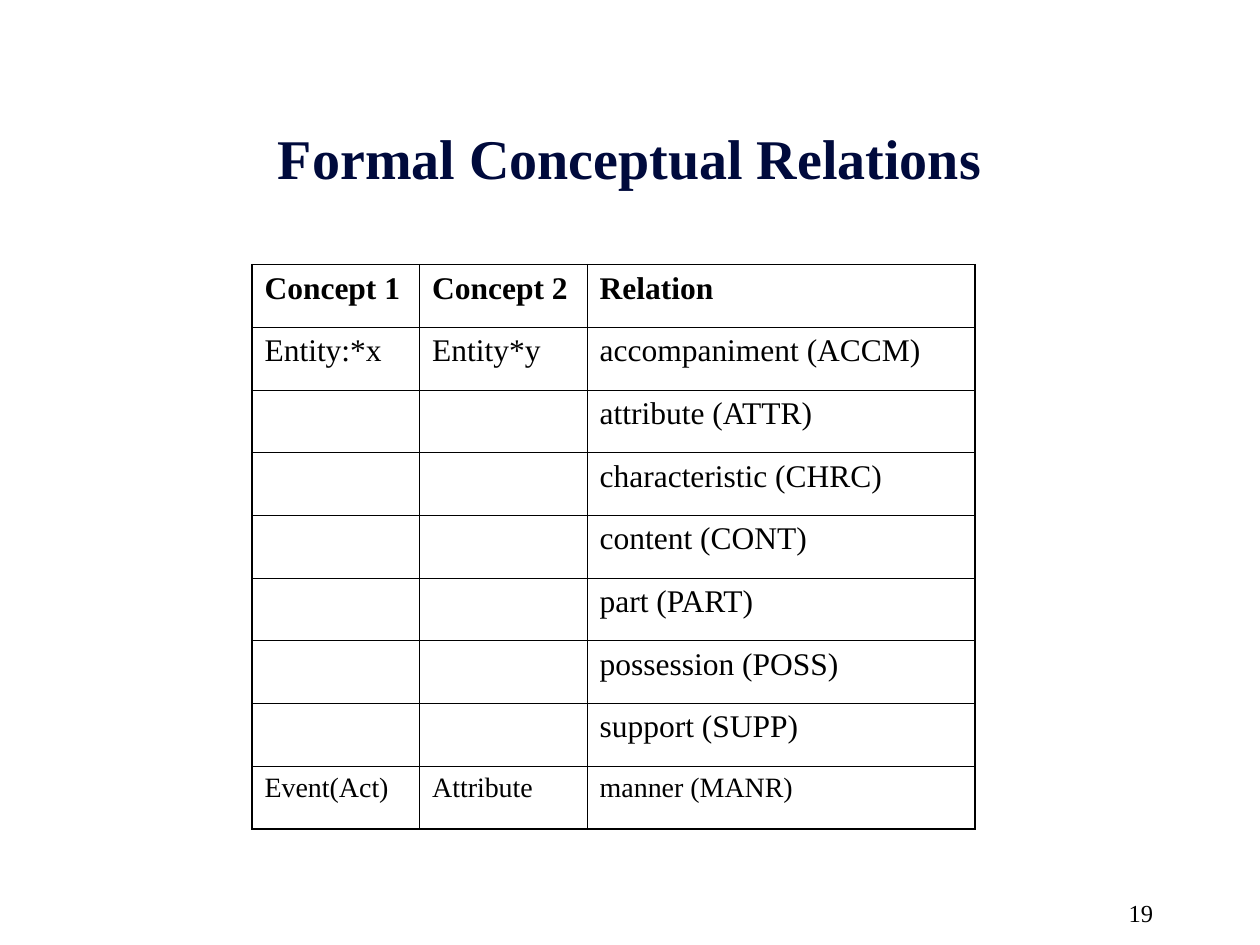
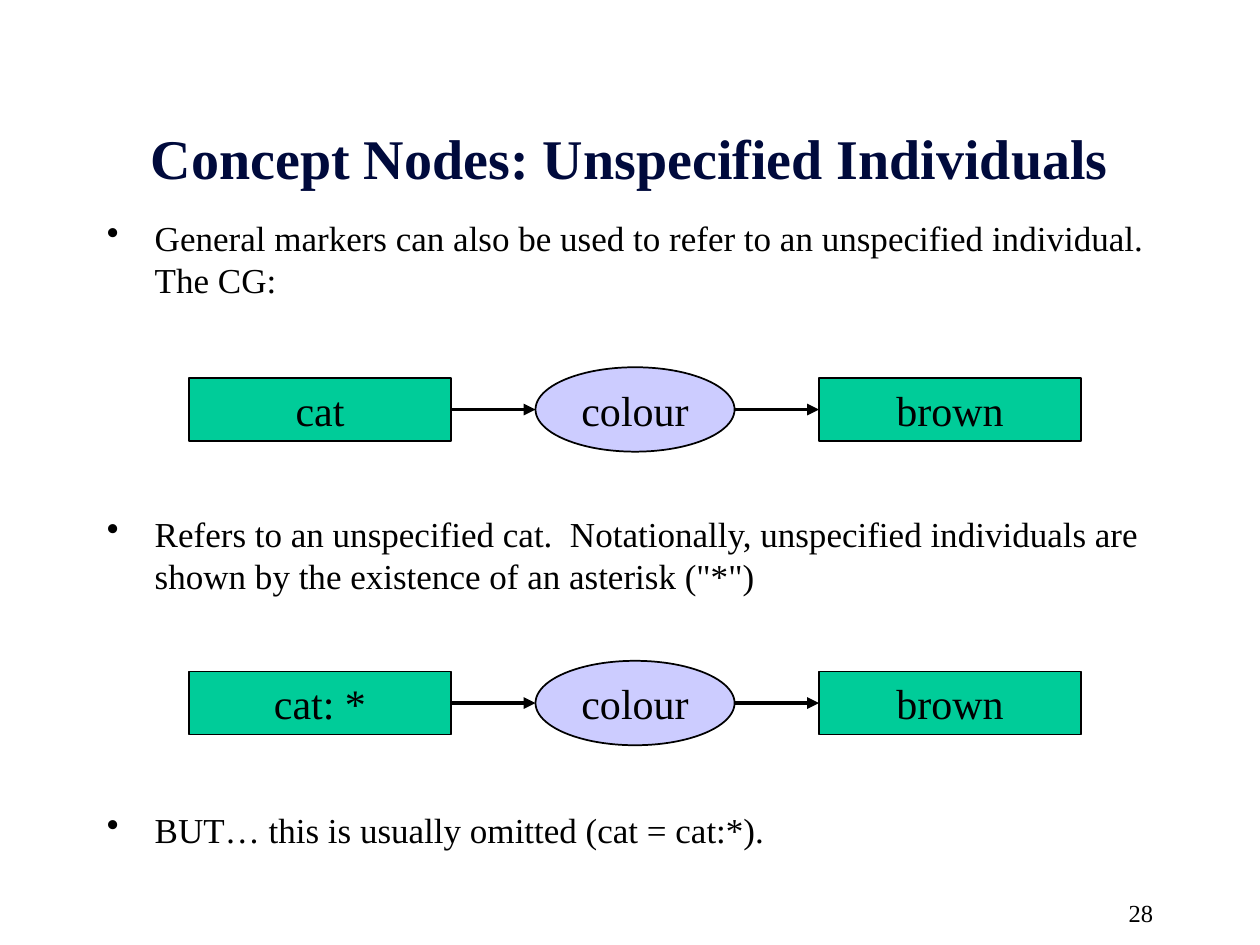
import pptx
import pptx.util
import pptx.dml.color
import pptx.enum.shapes
import pptx.enum.text
import pptx.oxml.ns
from lxml import etree

Inches, Pt = pptx.util.Inches, pptx.util.Pt
ALIGN, ANCHOR = pptx.enum.text.PP_ALIGN, pptx.enum.text.MSO_ANCHOR
SHAPE = pptx.enum.shapes.MSO_SHAPE
qn = pptx.oxml.ns.qn

# Content
RELATIONS = {
    "title": "Formal Conceptual Relations",
    "number": "19",
    "rows": [
        ("Concept 1", "Concept 2", "Relation"),
        ("Entity:*x", "Entity*y", "accompaniment (ACCM)"),
        ("", "", "attribute (ATTR)"),
        ("", "", "characteristic (CHRC)"),
        ("", "", "content (CONT)"),
        ("", "", "part (PART)"),
        ("", "", "possession (POSS)"),
        ("", "", "support (SUPP)"),
        ("Event(Act)", "Attribute", "manner (MANR)"),
    ],
}
INDIVIDUALS = {
    "title": "Concept Nodes: Unspecified Individuals",
    "number": "28",
    "points": [
        "General markers can also be used to refer to an unspecified individual.  The CG:",
        "Refers to an unspecified cat.  Notationally, unspecified individuals are "
        "shown by the existence of an asterisk (\"*\")",
        "BUT… this is usually omitted (cat = cat:*).",
    ],
    # centre height of each graph, and its nodes
    "graphs": [(3.25, ("cat", "colour", "brown")),
               (5.58, ("cat: *", "colour", "brown"))],
}

# Shared look
COLORS = {"ink": "000000", "title": "000A3C", "concept": "00CC99", "relation": "CCCCFF"}
FONT = "Times New Roman"
FORMATS = {
    "title": {"size": Pt(32), "bold": True},
    "number": {"size": Pt(14)},
    "point": {"size": Pt(20)},
    "node": {"size": Pt(24)},
    "header": {"size": Pt(18), "bold": True},
    "cell": {"size": Pt(18), "bold": False},
    "last": {"size": Pt(16), "bold": False},
}
OUTER, INNER = 1.08, 0.45
COLUMNS = (1.33, 1.33, 3.08)
# left, width, height, outline and colour of the nodes in a graph
NODES = [(1.5, 2.08, 0.5, SHAPE.RECTANGLE, "concept"),
         (4.25, 1.58, 0.67, SHAPE.OVAL, "relation"),
         (6.5, 2.08, 0.5, SHAPE.RECTANGLE, "concept")]


def color(name):
    return pptx.dml.color.RGBColor.from_string(COLORS[name])


def write(paragraph, text, style, ink="ink", align=ALIGN.LEFT):
    paragraph.alignment = align
    font = paragraph.add_run().font if text else paragraph.font
    if text:
        paragraph.runs[0].text = text
    for name, value in {"name": FONT, **FORMATS[style]}.items():
        setattr(font, name, value)
    font.color.rgb = color(ink)


def add_frame(slide, box, anchor=ANCHOR.TOP):
    frame = slide.shapes.add_textbox(*map(Inches, box)).text_frame
    frame.word_wrap = True
    frame.vertical_anchor = anchor
    return frame


def add_slide(deck, content):
    slide = deck.slides.add_slide(deck.slide_layouts[6])
    number = add_frame(slide, (7.17, 7.08, 2.08, 0.25))
    write(number.paragraphs[0], content["number"], "number", align=ALIGN.RIGHT)
    title = add_frame(slide, (0.75, 0.83, 8.5, 0.83), ANCHOR.MIDDLE)
    write(title.paragraphs[0], content["title"], "title", "title", ALIGN.CENTER)
    return slide


def set_borders(cell, widths):
    properties = cell._tc.get_or_add_tcPr()
    for position, (side, width) in enumerate(widths.items()):
        line = etree.Element(qn(f"a:ln{side}"), w=str(Pt(width)))
        fill = etree.SubElement(line, qn("a:solidFill"))
        etree.SubElement(fill, qn("a:srgbClr"), val=COLORS["ink"])
        properties.insert(position, line)


def add_relations(slide, rows):
    last_row, last_column = len(rows) - 1, len(COLUMNS) - 1
    table = slide.shapes.add_table(
        len(rows), len(COLUMNS), Inches(2), Inches(2.1),
        Inches(sum(COLUMNS)), Inches(4.48)).table
    table.first_row = table.horz_banding = False
    for column, width in zip(table.columns, COLUMNS):
        column.width = Inches(width)
    for r, row in enumerate(rows):
        style = {0: "header", last_row: "last"}.get(r, "cell")
        for c, text in enumerate(row):
            cell = table.cell(r, c)
            cell.fill.background()
            paragraph = cell.text_frame.paragraphs[0]
            write(paragraph, text, style)
            paragraph.space_before = FORMATS[style]["size"] // 4
            edges = {"L": c == 0, "R": c == last_column, "T": r == 0, "B": r == last_row}
            set_borders(cell, {side: OUTER if edge else INNER
                               for side, edge in edges.items()})


def add_points(slide, points):
    frame = add_frame(slide, (0.75, 1.67, 8.5, 5.33))
    for i, text in enumerate(points):
        paragraph = frame.add_paragraph() if i else frame.paragraphs[0]
        write(paragraph, text, "point")
        paragraph.line_spacing = Pt(24)
        # later points leave room for the graph above them
        paragraph.space_before = Pt(121 if i else 5)
        properties = paragraph._p.get_or_add_pPr()
        properties.set("marL", str(Inches(0.38)))
        properties.set("indent", str(-Inches(0.38)))
        etree.SubElement(properties, qn("a:buChar"), char="•")


def add_node(slide, text, middle, left, width, height, outline, fill):
    node = slide.shapes.add_shape(
        outline, *map(Inches, (left, middle - height / 2, width, height)))
    node.shadow.inherit = False
    node.fill.solid()
    node.fill.fore_color.rgb = color(fill)
    node.line.color.rgb = color("ink")
    node.line.width = Pt(1)
    node.text_frame.word_wrap = False
    node.text_frame.vertical_anchor = ANCHOR.MIDDLE
    write(node.text_frame.paragraphs[0], text, "node", align=ALIGN.CENTER)


def add_arrow(slide, start, end, middle):
    arrow = slide.shapes.add_connector(
        pptx.enum.shapes.MSO_CONNECTOR.STRAIGHT,
        *map(Inches, (start, middle, end, middle)))
    arrow.line.color.rgb = color("ink")
    arrow.line.width = Pt(2.25)
    etree.SubElement(arrow.line._get_or_add_ln(), qn("a:tailEnd"), type="triangle")
    etree.SubElement(arrow._element.spPr, qn("a:effectLst"))


def add_graph(slide, middle, names):
    for name, node in zip(names, NODES):
        add_node(slide, name, middle, *node)
    for (left, width, *_), (target, *_) in zip(NODES, NODES[1:]):
        add_arrow(slide, left + width, target, middle)


def main():
    deck = pptx.Presentation()
    deck.slide_width, deck.slide_height = Inches(10), Inches(7.5)

    # Table of relations
    add_relations(add_slide(deck, RELATIONS), RELATIONS["rows"])

    # Points with conceptual graphs between them
    slide = add_slide(deck, INDIVIDUALS)
    add_points(slide, INDIVIDUALS["points"])
    for middle, names in INDIVIDUALS["graphs"]:
        add_graph(slide, middle, names)

    deck.save("out.pptx")


if __name__ == "__main__":
    main()
